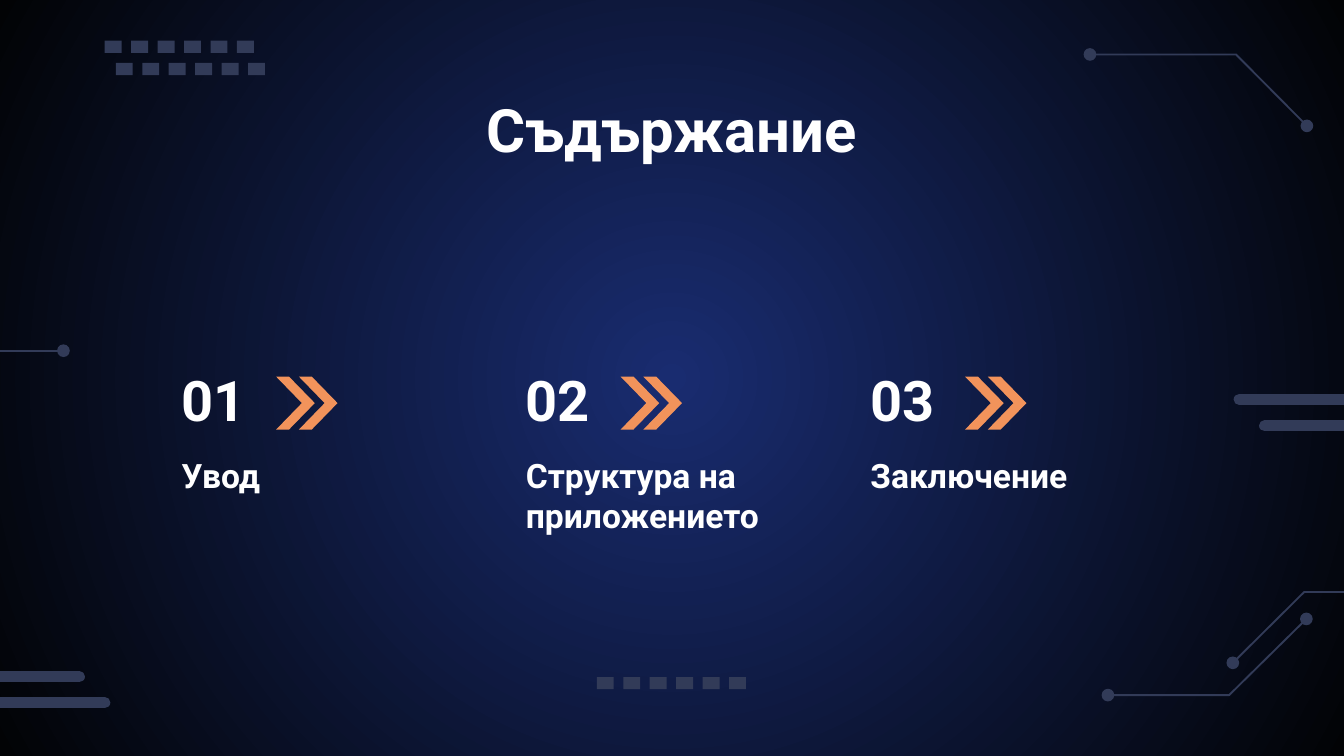
from lxml.etree import SubElement
from pptx import Presentation
from pptx.dml.color import RGBColor
from pptx.enum.shapes import MSO_CONNECTOR as LINK, MSO_SHAPE as SHAPE
from pptx.enum.text import MSO_ANCHOR as ANCHOR, MSO_AUTO_SIZE as FIT, PP_ALIGN as ALIGN
from pptx.oxml.ns import qn
from pptx.util import Cm, Pt

COLORS = {"glow": "192C70", "night": "020305", "circuit": "323B58",
          "accent": "F2935B", "text": "FFFFFF"}
FONT = "Roboto"
WIDTH, HEIGHT = 25.4, 14.29
TOPICS = ["Увод", "Структура на приложението", "Заключение"]


def color(name):
    return RGBColor.from_string(COLORS[name])


def paint(shape, name):
    shape.shadow.inherit = False
    shape.fill.solid()
    shape.fill.fore_color.rgb = color(name)
    shape.line.fill.background()


def outline(page, points, closed):
    (x, y), *rest = [(Cm(px), Cm(py)) for px, py in points]
    builder = page.shapes.build_freeform(x, y)
    builder.add_line_segments(rest, close=closed)
    return builder.convert_to_shape()


def write(shape, text, size, anchor=ANCHOR.TOP, align=ALIGN.LEFT):
    frame = shape.text_frame
    frame.word_wrap = True
    frame.auto_size = FIT.NONE
    frame.vertical_anchor = anchor
    frame.margin_left = frame.margin_right = Cm(0.25)
    frame.margin_top = frame.margin_bottom = Cm(0.25)
    para = frame.paragraphs[0]
    para.text = text
    para.alignment = align
    para.font.name = FONT
    para.font.size = Pt(size)
    para.font.bold = True
    para.font.color.rgb = color("text")


def background(page):
    fill = page.background.fill
    fill.gradient()
    for stop, name in zip(fill.gradient_stops, ("glow", "night")):
        stop.color.rgb = color(name)
    fill.gradient_stops[0].position = 0
    fill.gradient_stops[1].position = 1
    # Radial instead of linear
    gradient = page.element.find(".//" + qn("a:gradFill"))
    gradient.remove(gradient.find(qn("a:lin")))
    radial = SubElement(gradient, qn("a:path"))
    radial.set("path", "circle")
    center = SubElement(radial, qn("a:fillToRect"))
    for side in "ltrb":
        center.set(side, "50000")


def dash_row(page, left, top, count=6, pitch=0.5):
    for i in range(count):
        dash = page.shapes.add_shape(SHAPE.RECTANGLE, Cm(left + i * pitch), Cm(top),
                                     Cm(0.32), Cm(0.23))
        paint(dash, "circuit")


def bar(page, start, end, y, weight=6):
    line = page.shapes.add_connector(LINK.STRAIGHT, Cm(start), Cm(y), Cm(end), Cm(y))
    line.line.color.rgb = color("circuit")
    line.line.width = Pt(weight)
    props = line.element.spPr
    props.find(qn("a:ln")).set("cap", "rnd")
    SubElement(props, qn("a:effectLst"))


def node(page, x, y, radius=0.12):
    dot = page.shapes.add_shape(SHAPE.OVAL, Cm(x - radius), Cm(y - radius),
                                Cm(2 * radius), Cm(2 * radius))
    paint(dot, "circuit")


def trace(page, points, nodes):
    wire = outline(page, points, closed=False)
    wire.shadow.inherit = False
    wire.fill.background()
    wire.line.color.rgb = color("circuit")
    wire.line.width = Pt(1)
    for x, y in nodes:
        node(page, x, y)


def circuit_decor(page):
    # Left wire
    bar(page, 0, 1.2, 6.63, weight=1)
    node(page, 1.2, 6.63)
    # Bent wires on the right
    upper = [(20.6, 1.03), (23.36, 1.03), (24.7, 2.38)]
    inner = [(23.3, 12.53), (24.65, 11.19), (WIDTH, 11.19)]
    lower = [(20.94, 13.14), (23.23, 13.14), (24.69, 11.7)]
    trace(page, upper, upper[::2])
    trace(page, inner, inner[:1])
    trace(page, lower, lower[::2])
    # Dashes
    for left, top in [(1.98, 0.77), (2.19, 1.19), (11.28, 12.8)]:
        dash_row(page, left, top)
    # Thick bars running to the slide edges
    for start, end, y in [(23.42, WIDTH, 7.55), (23.9, WIDTH, 8.05),
                          (0, 1.5, 12.79), (0, 1.98, 13.28)]:
        bar(page, start, end, y)


def chevron(page, left, top, width=0.73, height=1):
    thick, middle = width / 3, top + height / 2
    paint(outline(page, [(left, top), (left + thick, top), (left + width, middle),
                         (left + thick, top + height), (left, top + height),
                         (left + width - thick, middle)], closed=True), "accent")


def topic(page, left, top, width, number, label):
    box = page.shapes.add_textbox(Cm(left), Cm(top), Cm(2.03), Cm(1.6))
    write(box, f"{number:02}", 30, ANCHOR.BOTTOM)
    box = page.shapes.add_textbox(Cm(left), Cm(top + 1.52), Cm(width), Cm(1.4))
    write(box, label, 18)
    for shift in (0, 0.43):
        chevron(page, left + 2.04 + shift, top + 0.29)


def contents_slide(deck):
    page = deck.slides.add_slide(deck.slide_layouts[5])
    background(page)
    circuit_decor(page)
    # Title
    title = page.shapes.title
    title.left, title.top, title.width, title.height = Cm(2.54), Cm(1.5), Cm(20.32), Cm(1.6)
    write(title, "Съдържание", 32, align=ALIGN.CENTER)
    # Numbered topics
    for i, label in enumerate(TOPICS):
        topic(page, 3.18 + i * 6.51, 6.83, 6.03, i + 1, label)


def main():
    deck = Presentation()
    deck.slide_width, deck.slide_height = Cm(WIDTH), Cm(HEIGHT)
    contents_slide(deck)
    deck.save("out.pptx")


if __name__ == "__main__":
    main()
